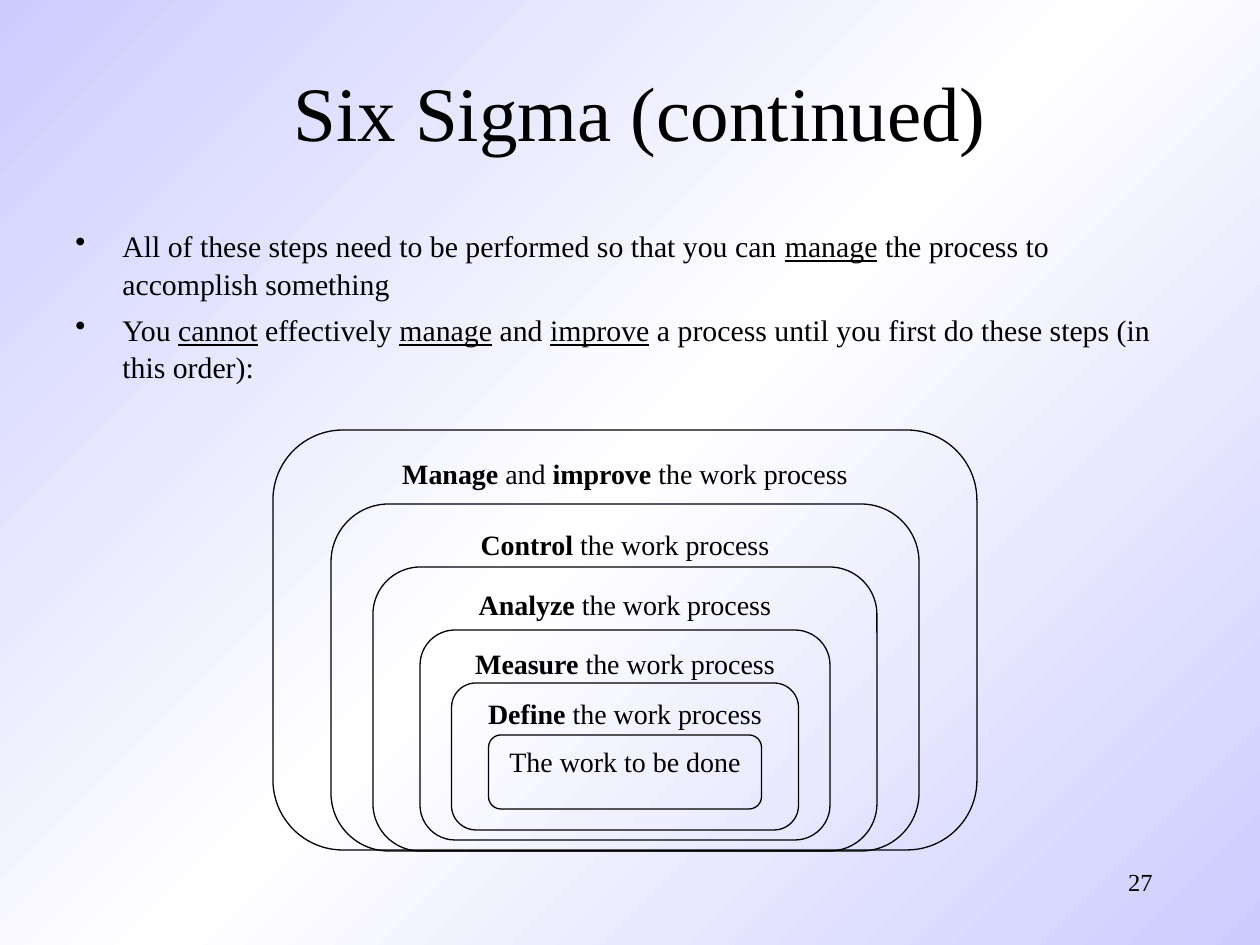
from copy import deepcopy
from pptx import Presentation
from pptx.dml.color import RGBColor
from pptx.enum.shapes import MSO_SHAPE
from pptx.enum.text import MSO_ANCHOR, PP_ALIGN
from pptx.util import Emu, Pt
from lxml.etree import SubElement
from pptx.oxml.ns import qn

SCALE = 914400 / 126
INK = {"text": "000000", "edge": "CCCCFF", "mid": "FFFFFF"}
FONT = "Times New Roman"


def px(*vals):
    return [Emu(round(v * SCALE)) for v in vals]


def write(para, text, size, align, mark=None):
    """Fill a paragraph; pieces between asterisks get the marked format."""
    para.alignment = align
    for i, part in enumerate(text.split("*")):
        if not part:
            continue
        run = para.add_run()
        run.text = part
        look = {"name": FONT, "size": Pt(size), "bold": False}
        if i % 2:
            look[mark] = True
        for key, val in look.items():
            setattr(run.font, key, val)
        run.font.color.rgb = RGBColor.from_string(INK["text"])


prs = Presentation()
prs.slide_width, prs.slide_height = px(1260, 945)
slide = prs.slides.add_slide(prs.slide_layouts[5])

# Diagonal background
fill = slide.background.fill
fill.gradient()
fill.gradient_angle = 315
stops = slide.element.xpath(".//a:gsLst")[0]
stops.insert(1, deepcopy(stops[0]))
for stop, pos, ink in zip(fill.gradient_stops, (0, 0.5, 1), ("edge", "mid", "edge")):
    stop.position = pos
    stop.color.rgb = RGBColor.from_string(INK[ink])

# Title
title = slide.shapes.title
title.left, title.top, title.width, title.height = px(105, 32, 1070, 157)
title.text_frame.vertical_anchor = MSO_ANCHOR.MIDDLE
write(title.text_frame.paragraphs[0], "Six Sigma (continued)", 44, PP_ALIGN.CENTER)

# Bullets
points = [
    "All of these steps need to be performed so that you can *manage* the process"
    " to accomplish something",
    "You *cannot* effectively *manage* and *improve* a process until you first do"
    " these steps (in this order):",
]
frame = slide.shapes.add_textbox(*px(63, 220, 1113, 168)).text_frame
frame.word_wrap = True
for i, point in enumerate(points):
    para = frame.add_paragraph() if i else frame.paragraphs[0]
    write(para, point, 17, PP_ALIGN.LEFT, "underline")
    para.space_before = Pt(5)
    para.line_spacing = 1.05
    props = para._p.get_or_add_pPr()
    props.set("marL", str(px(47)[0]))
    props.set("indent", str(px(-47)[0]))
    SubElement(props, qn("a:buChar"), char="•")

# Nested steps, inner to outer, on one centre line: width, top, height
MID = 625
steps = [
    ("The work to be done", 273, 735, 74),
    ("*Define* the work process", 347, 683, 147),
    ("*Measure* the work process", 410, 630, 210),
    ("*Analyze* the work process", 504, 567, 284),
    ("*Control* the work process", 588, 504, 347),
    ("*Manage* and *improve* the work process", 704, 430, 420),
]
for text, wide, top, high in steps:
    box = slide.shapes.add_shape(
        MSO_SHAPE.ROUNDED_RECTANGLE, *px(MID - wide / 2, top, wide, high))
    box.shadow.inherit = False
    box.fill.background()
    box.line.color.rgb = RGBColor.from_string(INK["text"])
    box.line.width = Pt(0.75)
    box.text_frame.vertical_anchor = MSO_ANCHOR.TOP
    write(box.text_frame.paragraphs[0], text, 16, PP_ALIGN.CENTER, "bold")

# Page number
page = slide.shapes.add_textbox(*px(903, 861, 262, 63)).text_frame
page.word_wrap = True
write(page.paragraphs[0], "27", 14, PP_ALIGN.RIGHT)

prs.save("out.pptx")
